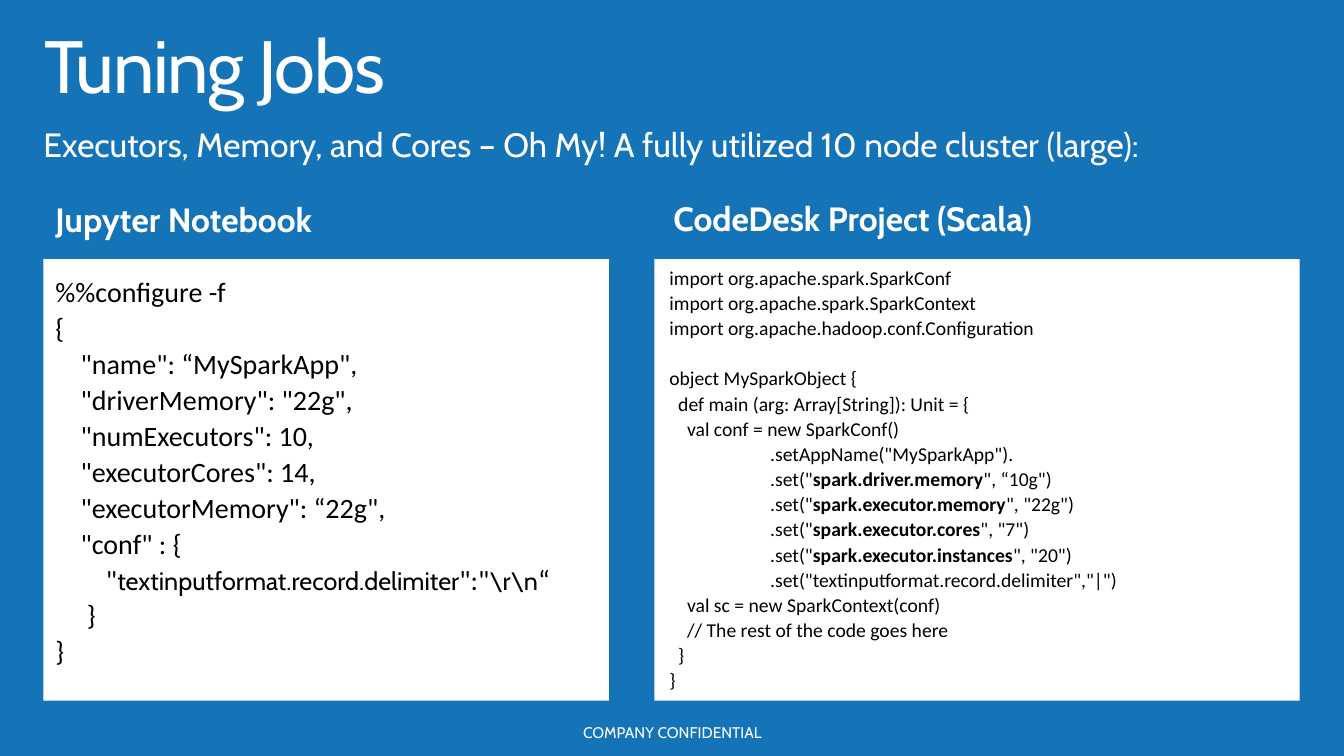
import pptx
import pptx.dml.color
import pptx.enum.shapes
import pptx.enum.text
import pptx.util

Inches = pptx.util.Inches
Pt = pptx.util.Pt
PP_ALIGN = pptx.enum.text.PP_ALIGN
MSO_ANCHOR = pptx.enum.text.MSO_ANCHOR

BLUE = pptx.dml.color.RGBColor(0x15, 0x74, 0xB8)
WHITE = pptx.dml.color.RGBColor(0xFF, 0xFF, 0xFF)
BLACK = pptx.dml.color.RGBColor(0x00, 0x00, 0x00)

HEADING_FONT = "Cabin"
CODE_FONT = "Calibri"
EMPHASIS_MARK = "*"
PANEL_TOP, PANEL_HEIGHT = 2.57, 4.38

NOTEBOOK_CODE = r'''%%configure -f
{
    "name": “MySparkApp",
    "driverMemory": "22g",
    "numExecutors": 10,
    "executorCores": 14,
    "executorMemory": “22g",
    "conf" : {
        "*textinputformat.record.delimiter*":"*\r\n*“
     }
}'''

IMPORTS_CODE = '''import org.apache.spark.SparkConf
import org.apache.spark.SparkContext
import org.apache.hadoop.conf.Configuration'''

OBJECT_CODE = '''object MySparkObject {
  def main (arg: Array[String]): Unit = {
    val conf = new SparkConf()
\t.setAppName("MySparkApp").
\t.set("*spark.driver.memory*", “10g")
\t.set("*spark.executor.memory*", "22g")
\t.set("*spark.executor.cores*", "7")
\t.set("*spark.executor.instances*", "20")
\t.set("textinputformat.record.delimiter","|")
    val sc = new SparkContext(conf)
    // The rest of the code goes here
  }
}'''


def add_run(paragraph, text, size, font, color, bold=False, tracking=0):
    run = paragraph.add_run()
    run.text = text
    run.font.size = Pt(size)
    run.font.name = font
    run.font.bold = bold
    run.font.color.rgb = color
    if tracking:
        run.font._element.set("spc", str(tracking * 100))


def add_text(slide, text, left, top, width, height, *, size, font=HEADING_FONT,
             color=WHITE, bold=False, tracking=0, align=PP_ALIGN.LEFT,
             anchor=MSO_ANCHOR.TOP, margins=(0.2, 0.16), line_spacing=0.9,
             emphasis=None, block_gap=0):
    box = slide.shapes.add_textbox(Inches(left), Inches(top), Inches(width), Inches(height))
    frame = box.text_frame
    frame.word_wrap = True
    frame.vertical_anchor = anchor
    frame.margin_left = frame.margin_right = Inches(margins[0])
    frame.margin_top = frame.margin_bottom = Inches(margins[1])
    style = dict(size=size, font=font, color=color, bold=bold, tracking=tracking)
    blocks = [text] if isinstance(text, str) else text
    paragraph = frame.paragraphs[0]
    for block_index, block in enumerate(blocks):
        for line_index, line in enumerate(block.split("\n")):
            if block_index or line_index:
                paragraph = frame.add_paragraph()
            if block_index and not line_index:
                paragraph.space_before = Pt(block_gap)
            paragraph.alignment = align
            paragraph.line_spacing = line_spacing
            if line.startswith("\t"):
                properties = paragraph._p.get_or_add_pPr()
                properties.set("marL", str(Inches(1)))
                properties.set("indent", "0")
            for run_index, part in enumerate(line.lstrip("\t").split(EMPHASIS_MARK)):
                emphasized = emphasis if run_index % 2 else None
                add_run(paragraph, part, **{**style, **(emphasized or {})})


def add_panel(slide, left, width):
    panel = slide.shapes.add_shape(
        pptx.enum.shapes.MSO_SHAPE.RECTANGLE,
        Inches(left), Inches(PANEL_TOP), Inches(width), Inches(PANEL_HEIGHT))
    panel.shadow.inherit = False
    panel.fill.solid()
    panel.fill.fore_color.rgb = WHITE
    panel.line.fill.background()


def add_code(slide, text, left, top, width, height, **style):
    add_text(slide, text, left, top, width, height, font=CODE_FONT, color=BLACK,
             margins=(0.1, 0.05), line_spacing=1.07, **style)


def main():
    presentation = pptx.Presentation()
    presentation.slide_width = Inches(13.33)
    presentation.slide_height = Inches(7.5)
    slide = presentation.slides.add_slide(presentation.slide_layouts[6])
    slide.background.fill.solid()
    slide.background.fill.fore_color.rgb = BLUE

    add_text(slide, "COMPANY CONFIDENTIAL", 5.17, 7.04, 3, 0.48, size=11,
             align=PP_ALIGN.CENTER, anchor=MSO_ANCHOR.MIDDLE)
    add_text(slide, "Tuning Jobs", 0.28, 0.19, 12.62, 0.98, size=52.9,
             tracking=-1, margins=(0.16, 0.1))
    add_text(slide, "Executors, Memory, and Cores – Oh My! A fully utilized 10 node cluster (large):",
             0.23, 1.11, 12.23, 0.69, size=24)

    add_text(slide, "Jupyter Notebook", 0.35, 1.86, 3.28, 0.69, size=24, bold=True)
    add_panel(slide, 0.43, 5.61)
    add_code(slide, NOTEBOOK_CODE, 0.45, 2.65, 5.45, 4.06, size=20,
             emphasis=dict(size=18, font=HEADING_FONT))

    add_text(slide, "CodeDesk Project (Scala)", 6.48, 1.85, 4.4, 0.69, size=24, bold=True)
    add_panel(slide, 6.49, 6.4)
    add_code(slide, [IMPORTS_CODE, OBJECT_CODE], 6.54, PANEL_TOP, 6.22, PANEL_HEIGHT,
             size=14, emphasis=dict(bold=True), block_gap=18)

    presentation.save("out.pptx")


if __name__ == "__main__":
    main()
